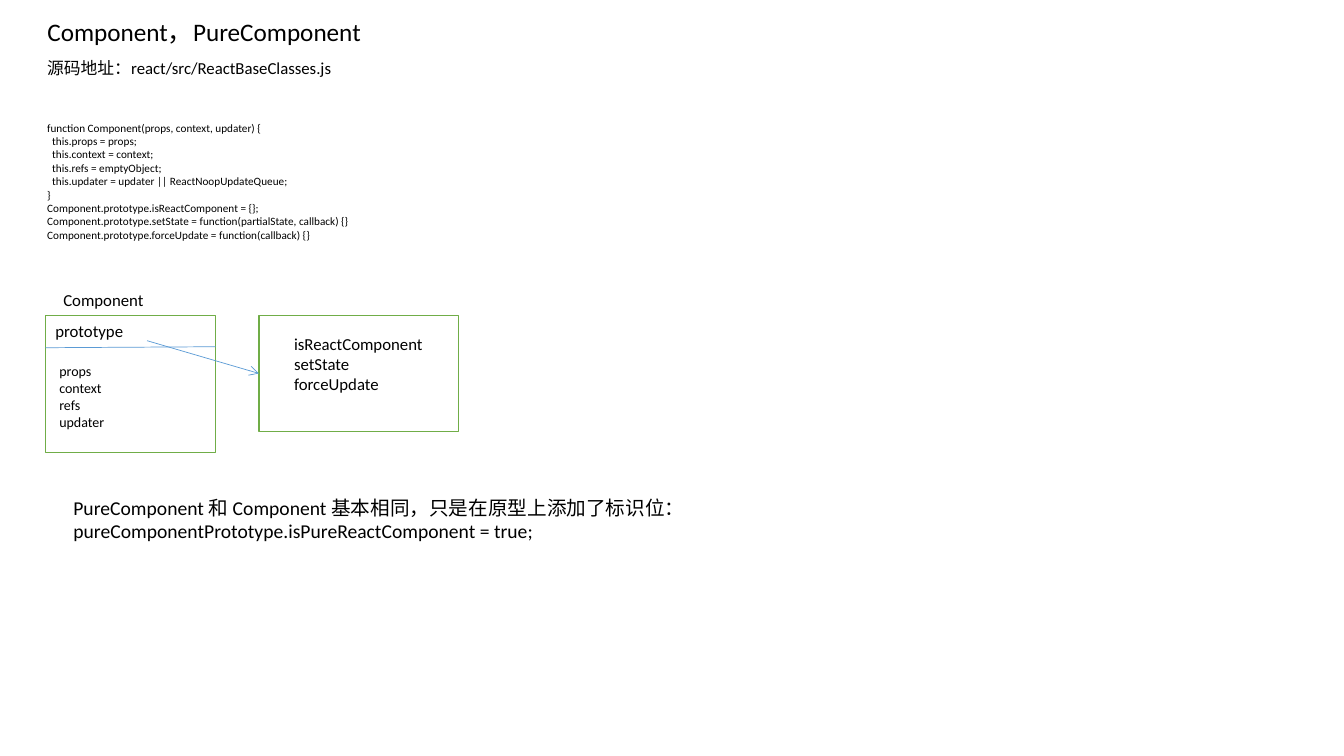
from lxml import etree
from pptx import Presentation, util as u
from pptx.dml.color import RGBColor
from pptx.enum import shapes, text
from pptx.oxml import ns

COLORS = {"text": "000000", "paper": "FFFFFF", "border": "70AD47", "link": "5B9BD5"}
FONT = "Calibri"
CODE = [
    "function Component(props, context, updater) {",
    "  this.props = props;",
    "  this.context = context;",
    "  this.refs = emptyObject;",
    "  this.updater = updater || ReactNoopUpdateQueue;",
    "}",
    "Component.prototype.isReactComponent = {};",
    "Component.prototype.setState = function(partialState, callback) {}",
    "Component.prototype.forceUpdate = function(callback) {}",
]
FIELDS = ["props", "context", "refs", "updater"]
METHODS = ["isReactComponent", "setState", "forceUpdate"]
SUMMARY = [
    "PureComponent 和 Component 基本相同，只是在原型上添加了标识位：",
    "pureComponentPrototype.isPureReactComponent = true;",
]


def color(name):
    return RGBColor.from_string(COLORS[name])


def inches(*lengths):
    return [u.Inches(length) for length in lengths]


def write_lines(frame, lines, size, wrap=True):
    frame.word_wrap = wrap
    frame.auto_size = text.MSO_AUTO_SIZE.NONE
    frame.vertical_anchor = text.MSO_ANCHOR.TOP
    frame.margin_left = frame.margin_right = u.Inches(0.1)
    frame.margin_top = frame.margin_bottom = u.Inches(0.05)
    for index, line in enumerate(lines):
        paragraph = frame.add_paragraph() if index else frame.paragraphs[0]
        paragraph.alignment = text.PP_ALIGN.LEFT
        run = paragraph.add_run()
        run.text = line
        run.font.name = FONT
        run.font.size = u.Pt(size)
        run.font.color.rgb = color("text")


def add_label(slide, box, lines, size, wrap=True):
    label = slide.shapes.add_textbox(*inches(*box))
    write_lines(label.text_frame, lines, size, wrap)
    return label


def add_frame(slide, box):
    frame = slide.shapes.add_shape(shapes.MSO_SHAPE.RECTANGLE, *inches(*box))
    frame.shadow.inherit = False
    frame.fill.solid()
    frame.fill.fore_color.rgb = color("paper")
    frame.line.color.rgb = color("border")
    frame.line.width = u.Pt(1)
    return frame


def add_line(slide, start, end, arrow=False):
    line = slide.shapes.add_connector(
        shapes.MSO_CONNECTOR.STRAIGHT, *inches(*start, *end))
    line.line.color.rgb = color("link")
    line.line.width = u.Pt(0.5)
    if arrow:
        etree.SubElement(line.line._get_or_add_ln(), ns.qn("a:tailEnd"), type="arrow")
    etree.SubElement(line._element.spPr, ns.qn("a:effectLst"))
    return line


def add_heading(slide, box):
    left, top, width, height = box
    title = slide.shapes.title
    title.left, title.top, title.width, title.height = inches(left, top, 3.89, height)
    write_lines(title.text_frame, ["Component，PureComponent"], 18)
    title.text_frame.paragraphs[0].line_spacing = 1.0
    add_label(slide, (left, top + 0.41, width, 0.3),
              ["源码地址：react/src/ReactBaseClasses.js"], 12)


def add_component_box(slide, box):
    """Draw the Component frame and return its prototype cell."""
    left, top, width, height = box
    add_label(slide, (left + 0.08, top - 0.3, 1, 0.3), ["Component"], 12, wrap=False)
    add_frame(slide, box)
    add_label(slide, (left + 0.04, top + 0.42, 0.65, 0.77), FIELDS, 10, wrap=False)
    add_line(slide, (left, top + 0.32), (left + width, top + 0.31))
    return add_label(slide, (left, top, 1.01, 0.5), ["prototype"], 12)


def add_prototype_box(slide, box):
    """Draw the frame of prototype members and return it."""
    left, top = box[:2]
    frame = add_frame(slide, box)
    add_label(slide, (left + 0.25, top + 0.13, 1.48, 0.7), METHODS, 12, wrap=False)
    return frame


def add_diagram(slide, box):
    left, top, width, height = box
    prototype_cell = add_component_box(slide, (left, top, 1.69, height))
    members_width = 1.98
    members_left = left + width - members_width
    members = add_prototype_box(slide, (members_left, top, members_width, 1.15))
    reference = add_line(slide, (left + 1.01, top + 0.25),
                         (members_left, top + 0.57), arrow=True)
    reference.begin_connect(prototype_cell, 3)
    reference.end_connect(members, 1)


def main():
    deck = Presentation()
    deck.slide_width, deck.slide_height = inches(13.34, 7.5)
    slide = deck.slides.add_slide(deck.slide_layouts.get_by_name("Title Only"))
    add_heading(slide, (0.37, 0.11, 5.34, 0.7))
    add_label(slide, (0.37, 1.15, 5.04, 1.43), CODE, 8)
    add_diagram(slide, (0.45, 3.13, 4.1, 1.36))
    add_label(slide, (0.63, 4.87, 6.41, 0.57), SUMMARY, 14, wrap=False)
    deck.save("out.pptx")


if __name__ == "__main__":
    main()
